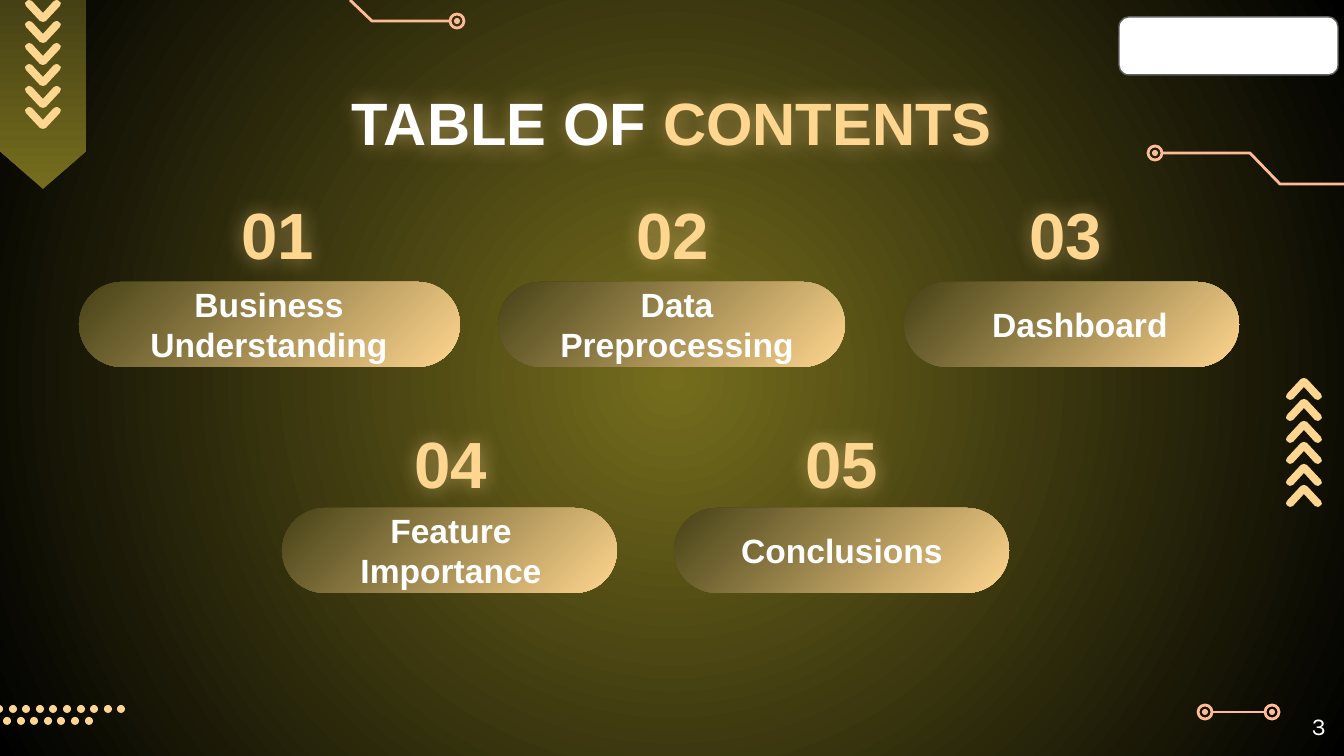
from lxml.etree import SubElement
from pptx import Presentation
from pptx.dml.color import RGBColor
from pptx.enum.shapes import MSO_CONNECTOR, MSO_SHAPE
from pptx.enum.text import MSO_ANCHOR, MSO_AUTO_SIZE, PP_ALIGN
from pptx.oxml.ns import qn
from pptx.util import Pt

SCALE = 914400 / 134.4
WHITE = RGBColor(0xFF, 0xFF, 0xFF)
GOLD = RGBColor(0xFF, 0xD6, 0x8F)
PEACH = RGBColor(0xFF, 0xBB, 0x95)
OLIVE = RGBColor(0x75, 0x6D, 0x1D)
MOSS = RGBColor(0x46, 0x41, 0x15)
BLACK = RGBColor(0, 0, 0)
GRAY = RGBColor(0x60, 0x60, 0x60)

CHEVRON = [(0, 3), (2, 1), (4, 0), (7, 1), (18, 13), (29, 1), (32, 0),
           (34, 1), (36, 3), (35, 6), (21, 21), (18, 22), (15, 21), (1, 6)]

CARDS = [
    ("01", "Business Understanding", 282, 198, (79, 381), (114, 328), (105, 328)),
    ("02", "Data Preprocessing", 282, 198, (498, 347), (511, 324), (515, 324)),
    ("03", "Dashboard", 282, 198, (904, 335), (904, 324), (918, 324)),
    ("04", "Feature Importance", 508, 427, (282, 335), (289, 324), (289, 324)),
    ("05", "Conclusions", 508, 427, (674, 335), (680, 324), (680, 324)),
]


def px(*nums):
    return [round(n * SCALE) for n in nums]


def blend(fill, first, last, angle=None):
    fill.gradient()
    for stop, color in zip(fill.gradient_stops, (first, last)):
        stop.color.rgb = color
    if angle is not None:
        fill.gradient_angle = angle


def paint(shape, fill=None, line=None, width=1.5):
    shape.shadow.inherit = False
    if fill is None:
        shape.fill.background()
    else:
        shape.fill.solid()
        shape.fill.fore_color.rgb = fill
    if line is None:
        shape.line.fill.background()
    else:
        shape.line.color.rgb = line
        shape.line.width = Pt(width)


def add_form(slide, kind, box, fill=None, line=None, width=1.5):
    shape = slide.shapes.add_shape(kind, *px(*box))
    paint(shape, fill, line, width)
    return shape


def add_path(slide, points, closed, fill=None, line=None):
    pen = slide.shapes.build_freeform(*points[0], scale=SCALE)
    pen.add_line_segments(points[1:], close=closed)
    paint(pen.convert_to_shape(), fill, line)


def add_node(slide, x, y):
    add_form(slide, MSO_SHAPE.OVAL, (x - 7, y - 7, 14, 14), line=PEACH)
    add_form(slide, MSO_SHAPE.OVAL, (x - 3, y - 3, 6, 6), PEACH)


def add_link(slide, x, y, end):
    link = slide.shapes.add_connector(MSO_CONNECTOR.STRAIGHT, *px(x, y, end, y))
    link.line.color.rgb = PEACH
    link.line.width = Pt(1.5)
    SubElement(link._element.spPr, qn("a:effectLst"))


def add_arrows(slide, left, top, up=False):
    for i in range(6):
        y = top + i * 43 // 2
        points = [(left + dx, y + (22 - dy if up else dy)) for dx, dy in CHEVRON]
        add_path(slide, points, True, GOLD)


def add_dots(slide, left, top, count):
    for i in range(count):
        add_form(slide, MSO_SHAPE.OVAL, (left + round(13.6 * i), top, 8, 8), GOLD)


def add_glow(shape):
    effects = SubElement(shape._element.spPr, qn("a:effectLst"))
    glow = SubElement(effects, qn("a:outerShdw"), blurRad="142875",
                      algn="bl", rotWithShape="0")
    color = SubElement(glow, qn("a:srgbClr"), val=str(GOLD))
    SubElement(color, qn("a:alpha"), val="50000")


def set_text(shape, box, runs, size, font="Arial", bold=True,
             align=PP_ALIGN.CENTER, anchor=MSO_ANCHOR.MIDDLE):
    shape.left, shape.top, shape.width, shape.height = px(*box)
    frame = shape.text_frame
    frame.word_wrap = True
    frame.auto_size = MSO_AUTO_SIZE.NONE
    frame.vertical_anchor = anchor
    inset = px(13.44)[0]
    frame.margin_left = frame.margin_right = inset
    frame.margin_top = frame.margin_bottom = inset
    para = frame.paragraphs[0]
    para.alignment = align
    for text, color in runs:
        run = para.add_run()
        run.text = text
        run.font.name = font
        run.font.size = Pt(size)
        run.font.bold = bold
        run.font.color.rgb = color


def add_text(slide, box, runs, size, **style):
    shape = slide.shapes.add_textbox(*px(*box))
    set_text(shape, box, runs, size, **style)
    return shape


def add_card(slide, number, label, top, head, pill, num, name):
    shape = add_form(slide, MSO_SHAPE.ROUNDED_RECTANGLE, (pill[0], top, pill[1], 85))
    shape.adjustments[0] = 0.5
    blend(shape.fill, MOSS, GOLD, 315)
    add_glow(add_text(slide, (num[0], head, num[1], 71), [(number, GOLD)], 35))
    add_text(slide, (name[0], top + 22, name[1], 40), [(label, WHITE)], 18)


def set_back(slide):
    fill = slide.background.fill
    blend(fill, OLIVE, BLACK)
    grad = slide._element.find(".//" + qn("a:gradFill"))
    for lin in grad.findall(qn("a:lin")):
        grad.remove(lin)
    ring = SubElement(grad, qn("a:path"))
    ring.set("path", "circle")
    SubElement(ring, qn("a:fillToRect"), l="50000", t="50000", r="50000", b="50000")


def add_decor(slide):
    add_form(slide, MSO_SHAPE.ROUNDED_RECTANGLE, (1119, 17, 219, 58), WHITE, GRAY, 0.75)
    banner = add_form(slide, MSO_SHAPE.FLOWCHART_OFFPAGE_CONNECTOR, (0, 0, 86, 189))
    blend(banner.fill, OLIVE, MOSS, 90)
    add_arrows(slide, 25, 0)
    add_arrows(slide, 1286, 378, up=True)
    add_dots(slide, -5, 705, 10)
    add_dots(slide, 3, 717, 7)
    add_path(slide, [(350, 0), (372, 21), (450, 21)], False, line=PEACH)
    add_path(slide, [(1162, 153), (1250, 153), (1280, 184), (1344, 184)],
             False, line=PEACH)
    add_link(slide, 1212, 712, 1265)
    for x, y in [(457, 21), (1155, 153), (1205, 712), (1272, 712)]:
        add_node(slide, x, y)


def main():
    deck = Presentation()
    deck.slide_width, deck.slide_height = px(1344, 756)
    slide = deck.slides.add_slide(deck.slide_layouts[5])
    set_back(slide)
    add_decor(slide)
    title = slide.shapes.title
    set_text(title, (105, 79, 1134, 85),
             [("TABLE OF ", WHITE), ("CONTENTS", GOLD)], 32)
    add_glow(title)
    for card in CARDS:
        add_card(slide, *card)
    add_text(slide, (1258, 698, 81, 58), [("3", WHITE)], 13, font="Karla",
             bold=False, align=PP_ALIGN.RIGHT, anchor=MSO_ANCHOR.TOP)
    deck.save("out.pptx")


if __name__ == "__main__":
    main()
